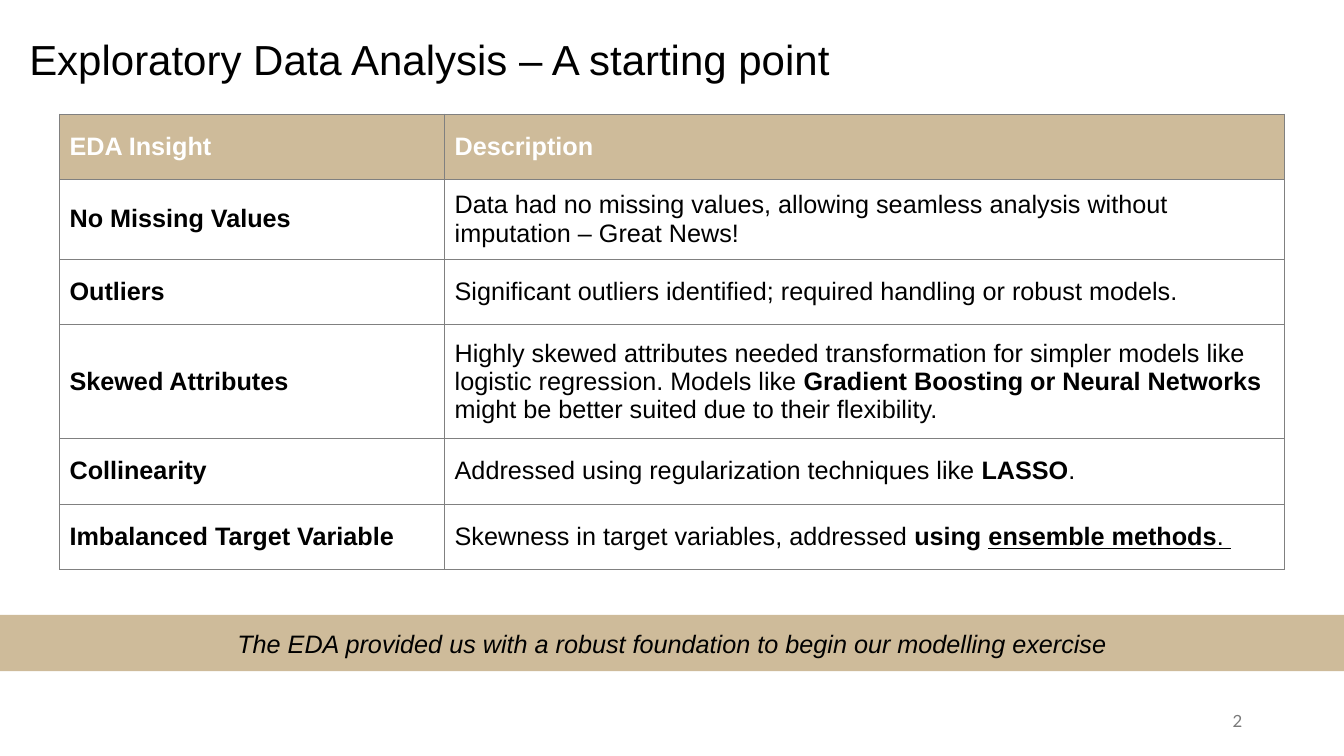
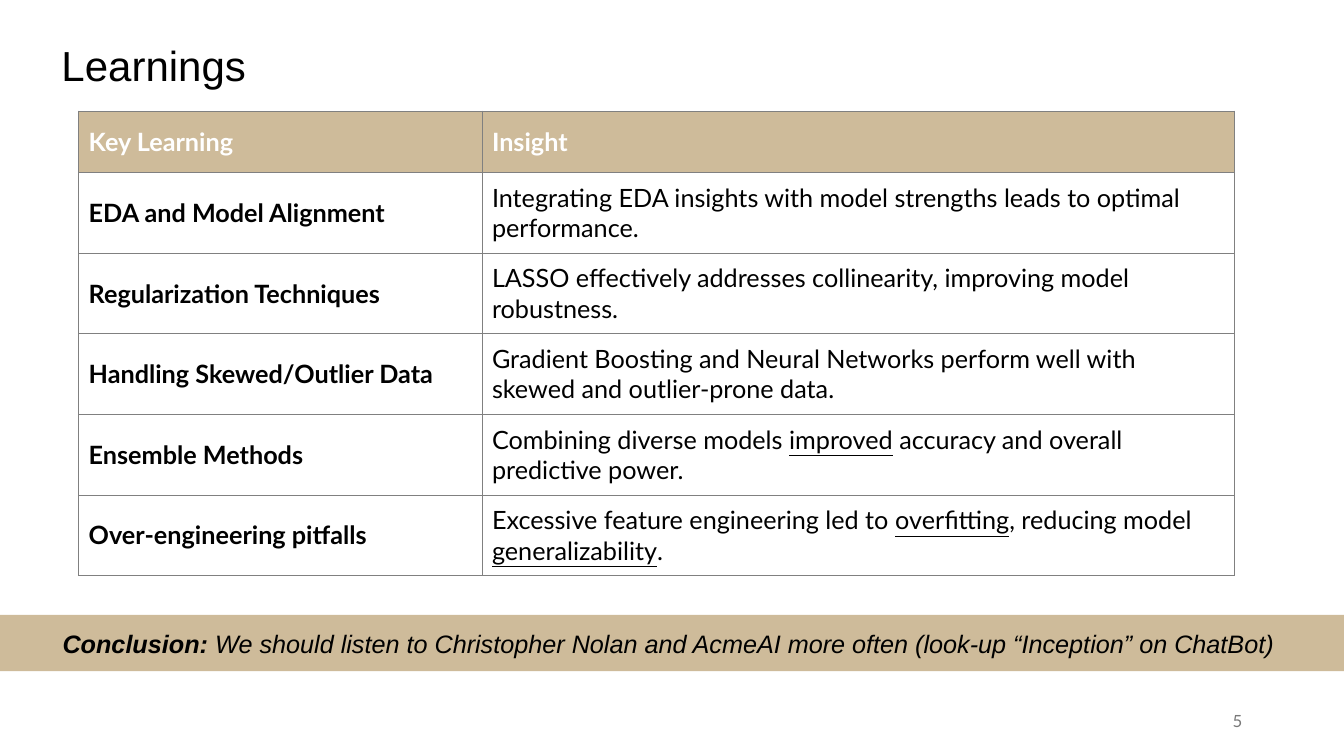
from dataclasses import dataclass

from pptx import Presentation
from pptx.dml.color import RGBColor
from pptx.enum.shapes import MSO_SHAPE as Shape
from pptx.enum.text import MSO_ANCHOR as Anchor, MSO_AUTO_SIZE as AutoSize, PP_ALIGN as Align
from pptx.oxml import parse_xml
from pptx.oxml.ns import nsdecls
from pptx.util import Emu, Pt

EMU_PER_PX = 9144
SLIDE_W, SLIDE_H = 1333, 750
COLORS = {"ink": "000000", "paper": "FFFFFF", "sand": "CEBB9A", "rule": "808080", "number": "797979"}
TITLE_FONT = {"name": "Arial", "size": Pt(30), "bold": False}
BAND_FONT = {"name": "Arial", "size": Pt(18), "italic": True}
NUMBER_FONT = {"name": "Lato", "size": Pt(12)}
FRAME = {"word_wrap": True, "auto_size": AutoSize.NONE, "vertical_anchor": Anchor.MIDDLE}
STYLES = {"": {}, "b": {"bold": True}, "u": {"underline": True}, "bu": {"bold": True, "underline": True}}

Run = tuple[str, str]
Box = tuple[int, int, int, int]


@dataclass(frozen=True)
class Row:
    height: int
    label: str
    runs: list[Run]


@dataclass(frozen=True)
class Grid:
    left: int
    top: int
    widths: tuple[int, int]
    font: str
    rows: list[Row]


@dataclass(frozen=True)
class Page:
    number: str
    title: str
    title_at: tuple[int, int]
    grid: Grid
    band: list[Run]


PAGES = [
    Page("2", "Exploratory Data Analysis – A starting point", (19, 24), Grid(59, 113, (382, 833), "Arial", [
        Row(65, "EDA Insight", [("Description", "b")]),
        Row(79, "No Missing Values", [
            ("Data had no missing values, allowing seamless analysis without imputation – Great News!", "")]),
        Row(65, "Outliers", [("Significant outliers identified; required handling or robust models.", "")]),
        Row(113, "Skewed Attributes", [
            ("Highly skewed attributes needed transformation for simpler models like logistic regression. "
             "Models like ", ""),
            ("Gradient Boosting or Neural Networks ", "b"),
            ("might be better suited due to their flexibility.", "")]),
        Row(65, "Collinearity", [
            ("Addressed using regularization techniques like ", ""), ("LASSO", "b"), (".", "")]),
        Row(65, "Imbalanced Target Variable", [
            ("Skewness in target variables, addressed ", ""), ("using ", "b"),
            ("ensemble methods", "bu"), (". ", "u")]),
    ]), [("The EDA provided us with a robust foundation to begin our modelling exercise", "")]),
    Page("5", "Learnings", (51, 30), Grid(78, 110, (400, 746), "Lato", [
        Row(61, "Key Learning", [("Insight", "b")]),
        Row(80, "EDA and Model Alignment", [
            ("Integrating EDA insights with model strengths leads to optimal performance.", "")]),
        Row(80, "Regularization Techniques", [
            ("LASSO effectively addresses collinearity, improving model robustness.", "")]),
        Row(80, "Handling Skewed/Outlier Data", [
            ("Gradient Boosting and Neural Networks perform well with skewed and outlier-prone data.", "")]),
        Row(80, "Ensemble Methods", [
            ("Combining diverse models ", ""), ("improved", "u"),
            (" accuracy and overall predictive power.", "")]),
        Row(80, "Over-engineering pitfalls", [
            ("Excessive feature engineering led to ", ""), ("overfitting", "u"),
            (", reducing model ", ""), ("generalizability", "u"), (".", "")]),
    ]), [("Conclusion:", "b"),
         (" We should listen to Christopher Nolan and AcmeAI more often (look-up “Inception” on ChatBot) ", "")]),
]


def px(n: int) -> Emu:
    return Emu(n * EMU_PER_PX)


def rgb(color: str) -> RGBColor:
    return RGBColor.from_string(COLORS[color])


def apply(target, values: dict) -> None:
    for name, value in values.items():
        setattr(target, name, value)


def write(tf, runs: list[Run], font: dict, color: str = "ink", **para) -> None:
    p = tf.paragraphs[0]
    apply(p, para)
    for text, style in runs:
        r = p.add_run()
        r.text = text
        apply(r.font, {"bold": False, **font, **STYLES[style]})
        r.font.color.rgb = rgb(color)


def add_title(s, page: Page) -> None:
    sp = s.shapes.title
    left, top = page.title_at
    apply(sp, {"left": px(left), "top": px(top), "width": px(1232), "height": px(75)})
    apply(sp.text_frame, FRAME)
    write(sp.text_frame, [(page.title, "")], TITLE_FONT, alignment=Align.LEFT, line_spacing=0.9)


def add_number(s, number: str) -> None:
    box: Box = (942, 695, 300, 40)
    tf = s.shapes.add_textbox(*map(px, box)).text_frame
    apply(tf, FRAME)
    write(tf, [(number, "")], NUMBER_FONT, "number", alignment=Align.RIGHT)


def add_band(s, runs: list[Run]) -> None:
    box: Box = (0, 610, SLIDE_W, 56)
    sp = s.shapes.add_shape(Shape.RECTANGLE, *map(px, box))
    sp.shadow.inherit = False
    sp.fill.solid()
    sp.fill.fore_color.rgb = rgb("sand")
    sp.line.fill.background()
    apply(sp.text_frame, FRAME)
    write(sp.text_frame, runs, BAND_FONT, alignment=Align.CENTER)


def dress_cell(cell, fill: str) -> None:
    tc_pr = cell._tc.get_or_add_tcPr()
    for side in "LRTB":
        tc_pr.append(parse_xml(
            f'<a:ln{side} {nsdecls("a")} w="{Pt(0.5)}"><a:solidFill>'
            f'<a:srgbClr val="{COLORS["rule"]}"/></a:solidFill></a:ln{side}>'))
    cell.fill.solid()
    cell.fill.fore_color.rgb = rgb(fill)
    cell.vertical_anchor = Anchor.MIDDLE


def add_grid(s, grid: Grid) -> None:
    box: Box = (grid.left, grid.top, sum(grid.widths), sum(row.height for row in grid.rows))
    table = s.shapes.add_table(len(grid.rows), len(grid.widths), *map(px, box)).table
    table.horz_banding = False
    for column, width in zip(table.columns, grid.widths):
        column.width = px(width)
    font = {"name": grid.font, "size": Pt(18)}
    for i, row in enumerate(grid.rows):
        table.rows[i].height = px(row.height)
        fill, color = ("paper", "ink") if i else ("sand", "paper")
        for j, runs in enumerate(([(row.label, "b")], row.runs)):
            cell = table.cell(i, j)
            dress_cell(cell, fill)
            write(cell.text_frame, runs, font, color)


def main() -> None:
    prs = Presentation()
    apply(prs, {"slide_width": px(SLIDE_W), "slide_height": px(SLIDE_H)})
    title_only = prs.slide_layouts[5]
    for page in PAGES:
        s = prs.slides.add_slide(title_only)
        add_title(s, page)
        add_number(s, page.number)
        add_grid(s, page.grid)
        add_band(s, page.band)
    prs.save("out.pptx")


if __name__ == "__main__":
    main()
